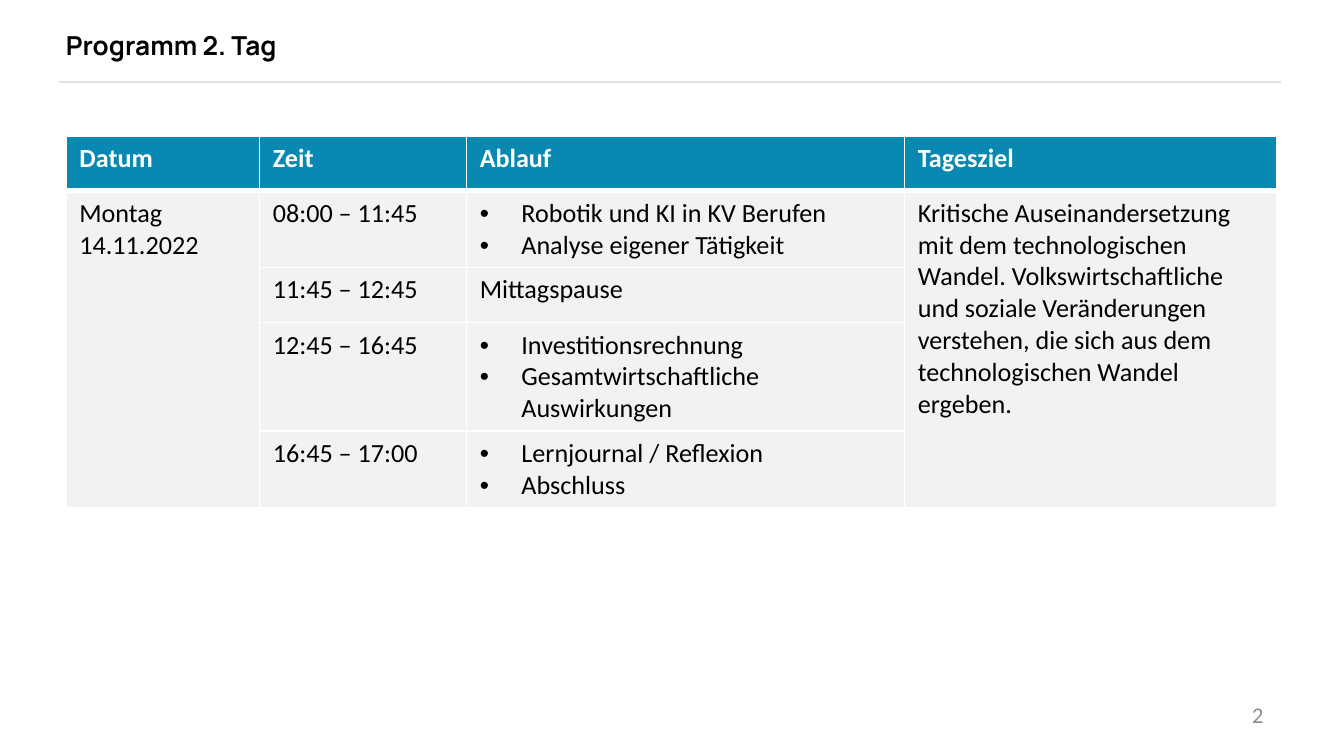
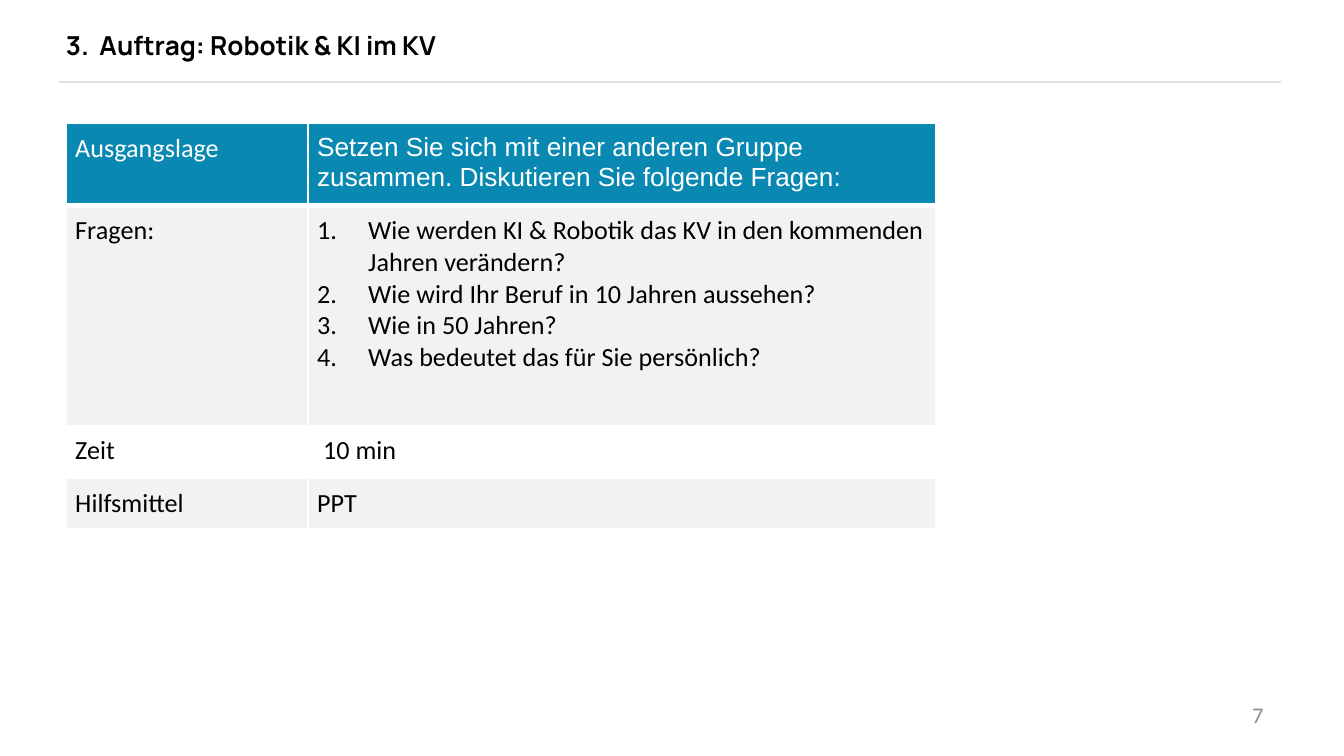
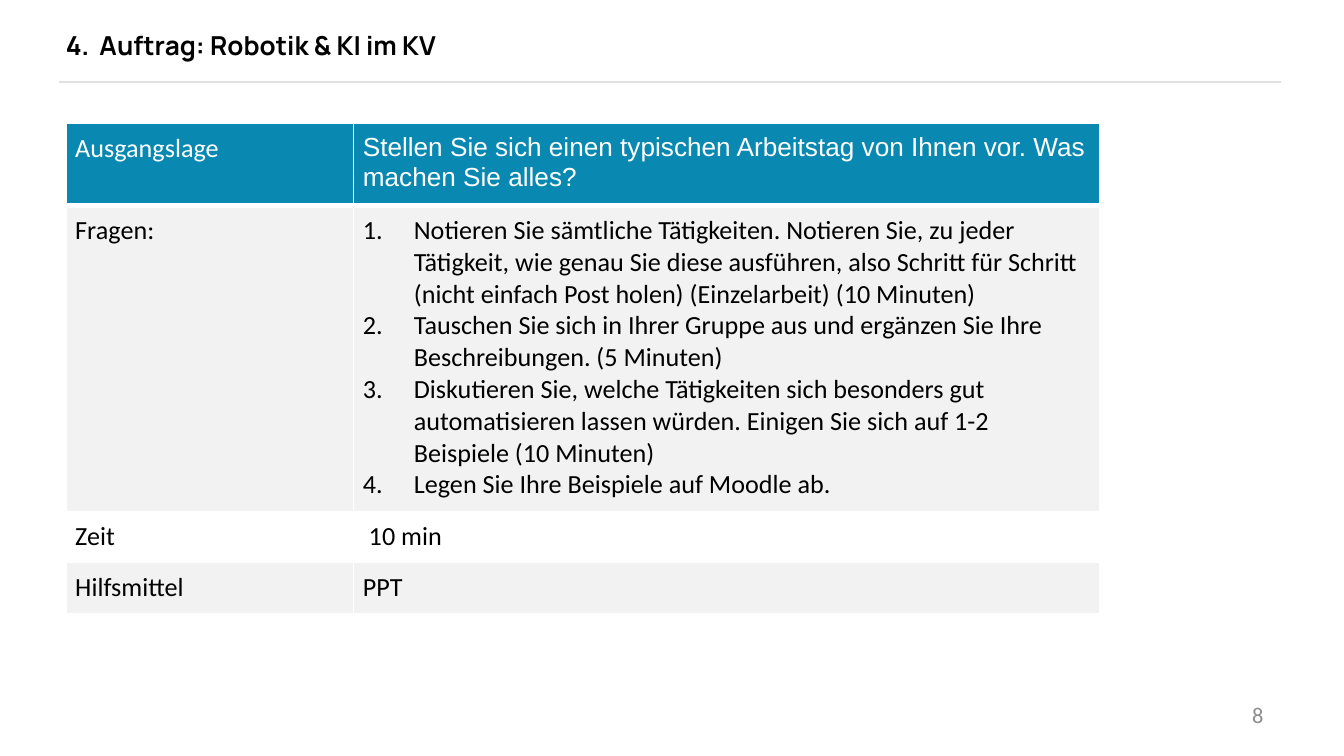
from lxml import etree
from pptx import Presentation
from pptx.dml.color import RGBColor
from pptx.enum.shapes import MSO_CONNECTOR
from pptx.enum.text import MSO_ANCHOR, PP_ALIGN
from pptx.oxml.ns import qn
from pptx.util import Inches, Pt

STRAIGHT = MSO_CONNECTOR.STRAIGHT
MIDDLE = MSO_ANCHOR.MIDDLE
LEFT, RIGHT = PP_ALIGN.LEFT, PP_ALIGN.RIGHT

BLACK = RGBColor(0x00, 0x00, 0x00)
WHITE = RGBColor(0xFF, 0xFF, 0xFF)
TEAL = RGBColor(0x09, 0x89, 0xB1)
PALE_GREY = RGBColor(0xF2, 0xF2, 0xF2)
RULE_GREY = RGBColor(0xE0, 0xE0, 0xE0)
NUMBER_GREY = RGBColor(0x8C, 0x8C, 0x8C)

TITLE_FONT, BODY_FONT, TASK_FONT = "Manrope", "Calibri", "Arial"
MARGIN_LEFT = Inches(0.49)


def style_cell(cell, fill, bottom_width):
    """Give a cell white borders and a solid fill."""
    tc_pr = cell._tc.get_or_add_tcPr()
    for side in ("lnL", "lnR", "lnT", "lnB"):
        width = bottom_width if side == "lnB" else Pt(1)
        border = etree.SubElement(tc_pr, qn(f"a:{side}"), w=str(width))
        solid = etree.SubElement(border, qn("a:solidFill"))
        etree.SubElement(solid, qn("a:srgbClr"), val=str(WHITE))
    cell.fill.solid()
    cell.fill.fore_color.rgb = fill


def add_list_marker(paragraph, numbered, indent):
    p_pr = paragraph._p.get_or_add_pPr()
    p_pr.set("marL", str(indent))
    p_pr.set("indent", str(-indent))
    if numbered:
        etree.SubElement(p_pr, qn("a:buFont"), typeface="+mj-lt")
        etree.SubElement(p_pr, qn("a:buAutoNum"), type="arabicPeriod")
    else:
        etree.SubElement(p_pr, qn("a:buFont"), typeface="Arial")
        etree.SubElement(p_pr, qn("a:buChar"), char="•")


# Lists become bulleted or numbered paragraphs; None continues the cell above.
programme = [
    ["Datum", "Zeit", "Ablauf", "Tagesziel"],
    ["Montag 14.11.2022", "08:00 – 11:45",
     ["Robotik und KI in KV Berufen", "Analyse eigener Tätigkeit"],
     "Kritische Auseinandersetzung mit dem technologischen Wandel. "
     "Volkswirtschaftliche und soziale Veränderungen verstehen, die sich aus dem "
     "technologischen Wandel ergeben."],
    [None, "11:45 – 12:45", "Mittagspause", None],
    [None, "12:45 – 16:45",
     ["Investitionsrechnung", "Gesamtwirtschaftliche Auswirkungen"], None],
    [None, "16:45 – 17:00", ["Lernjournal / Reflexion", "Abschluss"], None],
]

group_task = (
    "Setzen Sie sich mit einer anderen Gruppe zusammen. Diskutieren Sie folgende Fragen:",
    ["Wie werden KI & Robotik das KV in den kommenden Jahren verändern?",
     "Wie wird Ihr Beruf in 10 Jahren aussehen?",
     "Wie in 50 Jahren?",
     "Was bedeutet das für Sie persönlich?"],
)
workday_task = (
    "Stellen Sie sich einen typischen Arbeitstag von Ihnen vor. Was machen Sie alles?",
    ["Notieren Sie sämtliche Tätigkeiten. Notieren Sie, zu jeder Tätigkeit, wie genau "
     "Sie diese ausführen, also Schritt für Schritt (nicht einfach Post holen) "
     "(Einzelarbeit) (10 Minuten)",
     "Tauschen Sie sich in Ihrer Gruppe aus und ergänzen Sie Ihre Beschreibungen. "
     "(5 Minuten)",
     "Diskutieren Sie, welche Tätigkeiten sich besonders gut automatisieren lassen "
     "würden. Einigen Sie sich auf 1-2 Beispiele (10 Minuten)",
     "Legen Sie Ihre Beispiele auf Moodle ab."],
)
group_rows, workday_rows = [
    [["Ausgangslage", situation], ["Fragen:", questions],
     ["Zeit", " 10 min"], ["Hilfsmittel", "PPT"]]
    for situation, questions in (group_task, workday_task)
]

# title, page number, is a task, table top, column widths, row heights, rows
pages = [
    ("Programm 2. Tag", "2", False, 1.01, [1.44, 1.54, 3.26, 2.77],
     [0.41, 0.57, 0.41, 0.81, 0.57], programme),
    ("3.\tAuftrag: Robotik & KI im KV", "7", True, 0.92, [1.8, 4.67],
     [0.6, 1.64, 0.39, 0.38], group_rows),
    ("4.\tAuftrag: Robotik & KI im KV", "8", True, 0.92, [2.14, 5.55],
     [0.6, 2.28, 0.38, 0.38], workday_rows),
]

prs = Presentation()
prs.slide_width = Inches(10)
prs.slide_height = Inches(10 * 9 / 16)
title_only = prs.slide_layouts[5]

for heading, page_number, is_task, top, widths, heights, rows in pages:
    slide = prs.slides.add_slide(title_only)

    rule = slide.shapes.add_connector(
        STRAIGHT, Inches(9.53), Inches(0.61), Inches(0.44), Inches(0.61))
    rule.line.color.rgb = RULE_GREY
    rule.line.width = Pt(0.75)
    etree.SubElement(rule._element.spPr, qn("a:effectLst"))

    title = slide.shapes.title
    title.left, title.top = MARGIN_LEFT, Inches(0.14)
    title.width, title.height = Inches(6.67), Inches(0.39)
    frame = title.text_frame
    frame.text = heading
    frame.vertical_anchor = MIDDLE
    frame.margin_left = frame.margin_right = frame.margin_top = frame.margin_bottom = 0
    line = frame.paragraphs[0]
    line.alignment = LEFT
    if is_task:
        tabs = etree.SubElement(line._p.get_or_add_pPr(), qn("a:tabLst"))
        etree.SubElement(tabs, qn("a:tab"), pos=str(Inches(0.25)), algn="l")
    line.font.name, line.font.size, line.font.bold = TITLE_FONT, Pt(14), True
    line.font.color.rgb = BLACK

    footer = slide.shapes.add_textbox(
        Inches(7.17), Inches(5.17), Inches(2.33), Inches(0.3)).text_frame
    footer.word_wrap = True
    footer.vertical_anchor = MIDDLE
    footer.text = page_number
    number = footer.paragraphs[0]
    number.alignment = RIGHT
    number.font.name, number.font.size = BODY_FONT, Pt(12)
    number.font.color.rgb = NUMBER_GREY

    table = slide.shapes.add_table(
        len(rows), len(widths), MARGIN_LEFT, Inches(top),
        Inches(sum(widths)), Inches(sum(heights))).table
    table.horz_banding = False
    for column, width in zip(table.columns, widths):
        column.width = Inches(width)
    for row, height in zip(table.rows, heights):
        row.height = Inches(height)

    for r, row_content in enumerate(rows):
        is_header = r == 0
        if is_header:
            fill = TEAL
        else:
            fill = WHITE if is_task and r == 2 else PALE_GREY
        for c, content in enumerate(row_content):
            cell = table.cell(r, c)
            style_cell(cell, fill, Pt(3) if is_header else Pt(1))
            if is_task:
                cell.margin_left = cell.margin_right = Inches(0.07)
                cell.margin_top = cell.margin_bottom = Inches(0.07)
            if content is None:
                continue
            is_list = isinstance(content, list)
            cell.text = "\n".join(content) if is_list else content
            for paragraph in cell.text_frame.paragraphs:
                if is_list:
                    add_list_marker(paragraph, is_task, Inches(0.38 if is_task else 0.31))
                font = paragraph.font
                font.name = TASK_FONT if is_task and is_header and c == 1 else BODY_FONT
                font.size = Pt(14)
                font.bold = is_header and not is_task
                font.color.rgb = WHITE if is_header else BLACK

    if not is_task:
        for c in (0, 3):
            table.cell(1, c).merge(table.cell(4, c))

prs.save("out.pptx")
